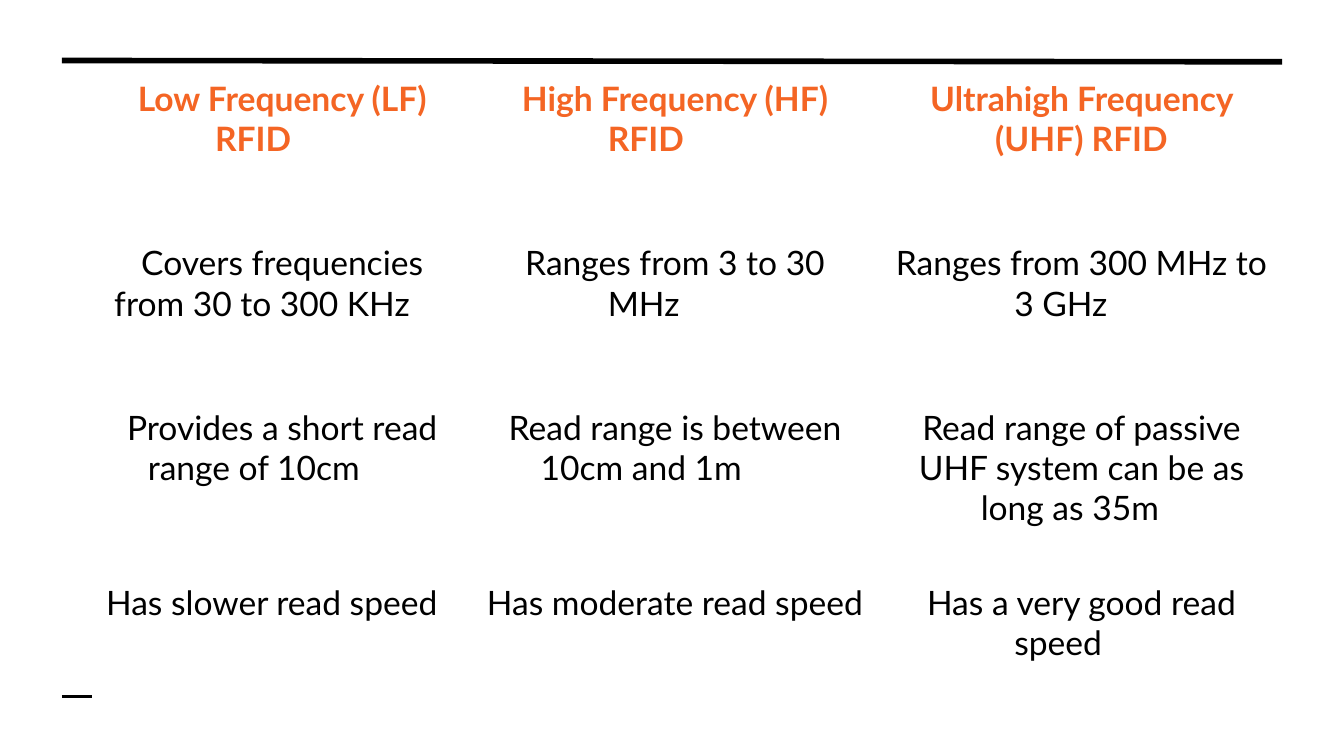
from lxml import etree
from pptx import Presentation
from pptx.dml.color import RGBColor
from pptx.enum.shapes import MSO_CONNECTOR
from pptx.enum.text import PP_ALIGN
from pptx.oxml.ns import qn
from pptx.util import Inches, Pt

CENTER = PP_ALIGN.CENTER
STRAIGHT = MSO_CONNECTOR.STRAIGHT

# The closing tab, with its stop at zero, shifts the last line of a cell.
ROWS = [
    ["Low Frequency (LF) RFID \t",
     "High Frequency (HF) RFID \t",
     "Ultrahigh Frequency (UHF) RFID"],
    ["Covers frequencies from 30 to 300 KHz \t",
     "Ranges from 3 to 30 MHz \t",
     "Ranges from 300 MHz to 3 GHz \t"],
    ["Provides a short read range of 10cm \t",
     "Read range is between 10cm and 1m \t",
     "Read range of passive UHF system can be as long as 35m \t"],
    ["Has slower read speed \t",
     "Has moderate read speed \t",
     "Has a very good read speed \t"],
]

THEME = {
    "font": "Lato",
    "size": Pt(18),
    "head": RGBColor.from_string("F46524"),
    "body": RGBColor.from_string("000000"),
    "paper": RGBColor.from_string("FFFFFF"),
    "edge": Pt(0.96),
    "thick": Pt(3),
}

WIDE = 10
HIGH = WIDE * 9 / 16
MARGIN = 0.46
RULES = [(5.18, 5.18, 1.5), (0.45, 0.46, 3)]  # left end, right end, weight
LEFT, TOP, SPAN, DEPTH = 0.69, 0.53, 8.87, 4.75
FIRST = 2.82
COLS = [FIRST] + [(SPAN - FIRST) / 2] * 2
LOWER = [1.3, 1]
HEIGHTS = [(DEPTH - sum(LOWER)) / 2] * 2 + LOWER


def add_rule(slide, start, end, weight):
    rule = slide.shapes.add_connector(
        STRAIGHT, Inches(MARGIN), Inches(start),
        Inches(WIDE - MARGIN), Inches(end))
    rule.line.color.rgb = THEME["body"]
    rule.line.width = Pt(weight)
    etree.SubElement(rule._element.spPr, qn("a:effectLst"))


def set_edges(cell, base):
    props = cell._tc.get_or_add_tcPr()
    sides = {"L": THEME["edge"], "R": THEME["edge"],
             "T": THEME["edge"], "B": base}
    for i, (side, width) in enumerate(sides.items()):
        line = etree.Element(qn("a:ln" + side), w=str(int(width)))
        fill = etree.SubElement(line, qn("a:solidFill"))
        etree.SubElement(fill, qn("a:srgbClr"), val=str(THEME["paper"]))
        props.insert(i, line)


def fill_cell(cell, text, head):
    cell.fill.solid()
    cell.fill.fore_color.rgb = THEME["paper"]
    set_edges(cell, THEME["thick"] if head else THEME["edge"])
    para = cell.text_frame.paragraphs[0]
    para.text = text
    para.alignment = CENTER
    para.font.name = THEME["font"]
    para.font.size = THEME["size"]
    para.font.bold = head
    para.font.color.rgb = THEME["head" if head else "body"]
    tabs = etree.Element(qn("a:tabLst"))
    etree.SubElement(tabs, qn("a:tab"), pos="0", algn="l")
    para._p.get_or_add_pPr().insert(0, tabs)


def add_grid(slide):
    table = slide.shapes.add_table(
        len(ROWS), len(COLS), Inches(LEFT), Inches(TOP),
        Inches(SPAN), Inches(DEPTH)).table
    table.first_row = table.horz_banding = False
    for col, width in zip(table.columns, COLS):
        col.width = Inches(width)
    for r, texts in enumerate(ROWS):
        table.rows[r].height = Inches(HEIGHTS[r])
        for c, text in enumerate(texts):
            fill_cell(table.cell(r, c), text, r == 0)


def main():
    deck = Presentation()
    deck.slide_width, deck.slide_height = Inches(WIDE), Inches(HIGH)
    slide = deck.slides.add_slide(deck.slide_layouts[6])
    for rule in RULES:
        add_rule(slide, *rule)
    add_grid(slide)
    deck.save("out.pptx")


if __name__ == "__main__":
    main()
